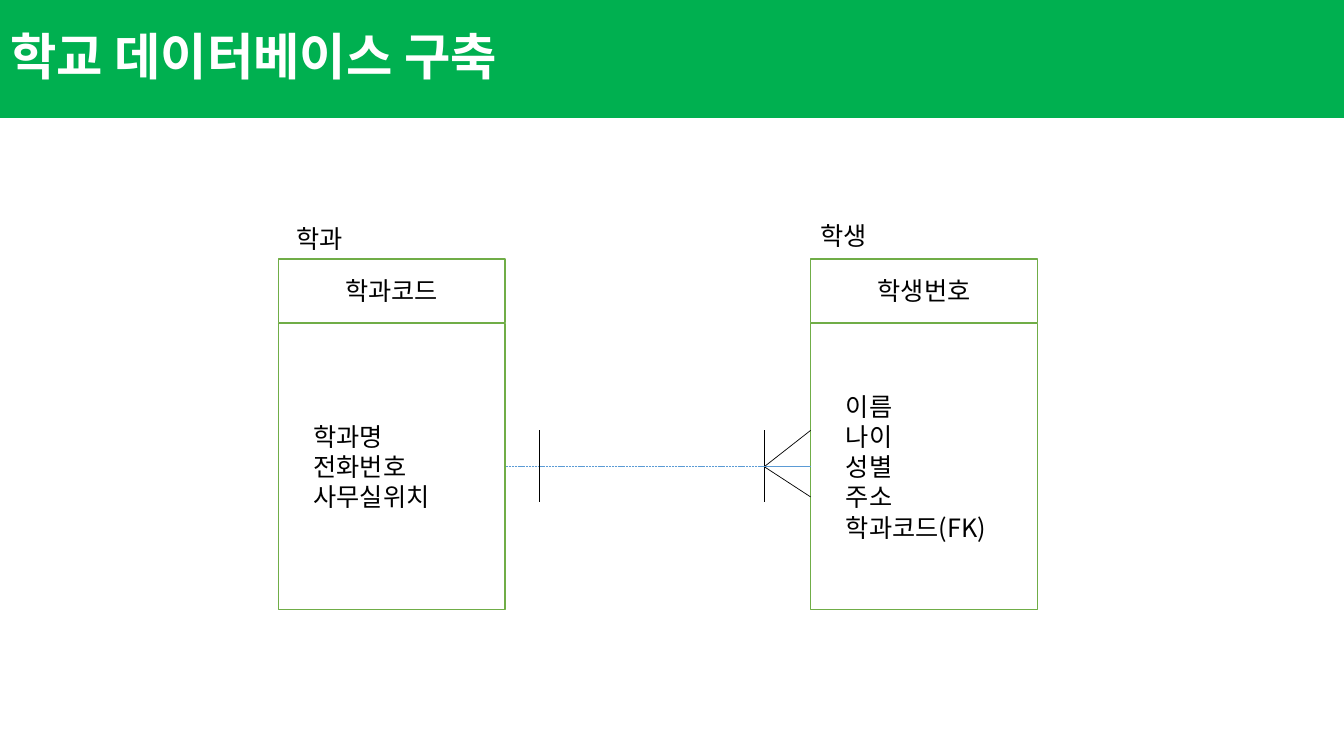
from pptx import Presentation
from pptx.dml.color import RGBColor
from pptx.enum.dml import MSO_LINE
from pptx.enum.shapes import MSO_CONNECTOR, MSO_SHAPE
from pptx.enum.text import MSO_ANCHOR, MSO_AUTO_SIZE, PP_ALIGN
from pptx.oxml.ns import qn
from pptx.util import Inches, Pt
from lxml.etree import SubElement

COLORS = {"banner": "00B050", "border": "70AD47", "link": "5B9BD5",
          "black": "000000", "white": "FFFFFF"}
FONT = "Noto Sans CJK KR"


def rgb(name):
    return RGBColor.from_string(COLORS[name])


class Diagram:
    def __init__(self, deck):
        self.slide = deck.slides.add_slide(deck.slide_layouts[5])
        self.shapes = self.slide.shapes

    def fill_text(self, frame, lines, size=18, color="black", align=PP_ALIGN.LEFT, bold=False):
        frame.word_wrap = True
        frame.text = "\n".join(lines)
        for para in frame.paragraphs:
            para.alignment = align
            font = para.font
            font.size, font.bold, font.name = Pt(size), bold, FONT
            font.color.rgb = rgb(color)
            # Hangul takes the East Asian typeface
            props = para._p.pPr.find(qn("a:defRPr"))
            SubElement(props, qn("a:ea")).set("typeface", FONT)

    def title(self, text, width, height):
        banner = self.shapes.title
        banner.left = banner.top = 0
        banner.width, banner.height = width, height
        banner.fill.solid()
        banner.fill.fore_color.rgb = rgb("banner")
        frame = banner.text_frame
        self.fill_text(frame, [text], 36, "white", bold=True)
        frame.auto_size = MSO_AUTO_SIZE.NONE
        frame.vertical_anchor = MSO_ANCHOR.MIDDLE
        frame.paragraphs[0].line_spacing = 0.9

    def box(self, x, y, height, lines, align, inset=0.1):
        box = self.shapes.add_shape(MSO_SHAPE.RECTANGLE, Inches(x), Inches(y),
                                    Inches(2.25), Inches(height))
        box.shadow.inherit = False
        box.fill.solid()
        box.fill.fore_color.rgb = rgb("white")
        box.line.color.rgb = rgb("border")
        box.line.width = Pt(1)
        frame = box.text_frame
        frame.margin_left = Inches(inset)
        frame.vertical_anchor = MSO_ANCHOR.MIDDLE
        self.fill_text(frame, lines, align=align)

    def label(self, x, y, text):
        label = self.shapes.add_textbox(Inches(x), Inches(y), Inches(1.05), Inches(0.4))
        self.fill_text(label.text_frame, [text])

    def entity(self, x, key, fields):
        self.box(x, 2.57, 0.63, [key], PP_ALIGN.CENTER)
        self.box(x, 3.21, 2.84, fields, PP_ALIGN.LEFT, 0.35)

    def line(self, x1, y1, x2, y2, color="black", dash=None):
        line = self.shapes.add_connector(MSO_CONNECTOR.STRAIGHT, Inches(x1), Inches(y1),
                                         Inches(x2), Inches(y2))
        line.line.color.rgb = rgb(color)
        line.line.width = Pt(0.5)
        if dash:
            line.line.dash_style = dash
        SubElement(line._element.spPr, qn("a:effectLst"))


def main():
    deck = Presentation()
    deck.slide_width, deck.slide_height = Inches(13.33), Inches(7.5)
    page = Diagram(deck)
    page.title("학교 데이터베이스 구축", deck.slide_width, Inches(1.17))

    left, right, mid = 2.76, 8.04, 4.63
    page.entity(left, "학과코드", ["학과명", "전화번호", "사무실위치"])
    page.entity(right, "학생번호", ["이름", "나이", "성별", "주소", "학과코드(FK)"])
    page.line(5.02, mid, right, mid, "link", MSO_LINE.SQUARE_DOT)
    page.label(2.84, 2.17, "학과")
    page.label(right, 2.14, "학생")

    one, many = 5.35, 7.58
    for x in (one, many):
        page.line(x, 4.27, x, 4.98)
    for y, color in ((4.27, "black"), (4.93, "black"), (mid, "link")):
        page.line(many, mid, right, y, color)

    deck.save("out.pptx")


if __name__ == "__main__":
    main()
